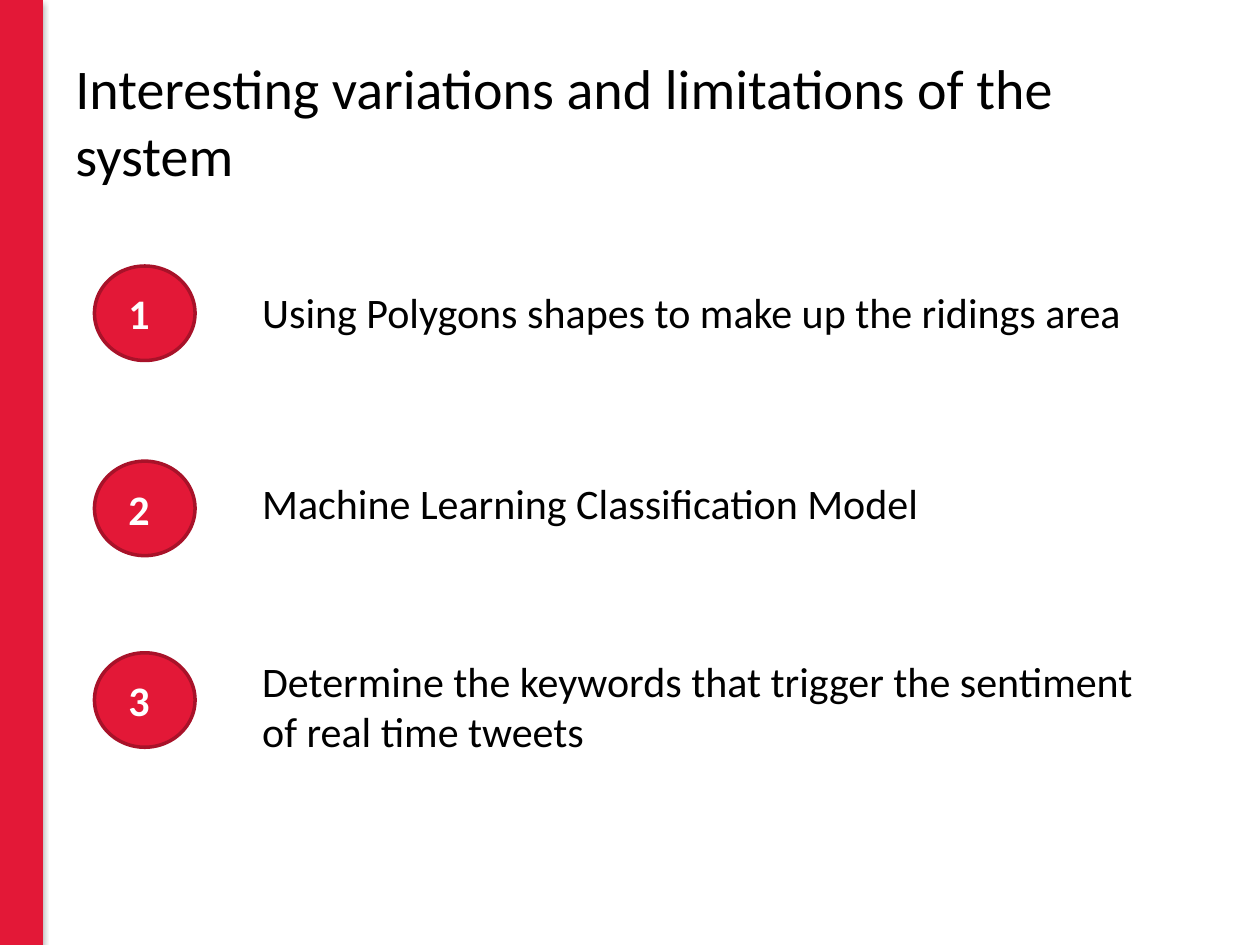
from dataclasses import dataclass

from lxml import etree
from pptx import Presentation
from pptx.dml.color import RGBColor
from pptx.enum import shapes, text
from pptx.oxml import ns
from pptx.util import Pt

RED, DARK_RED, BLACK, WHITE = "E31837", "A81229", "000000", "FFFFFF"
FONT = "Calibri"


@dataclass
class Box:
    left: float
    top: float
    width: float
    height: float

    def lengths(self) -> tuple:
        return Pt(self.left), Pt(self.top), Pt(self.width), Pt(self.height)


@dataclass
class Item:
    wording: str
    circle_top: float
    text_top: float
    text_height: float = 36.35


ITEMS = [
    Item("Using Polygons shapes to make up the ridings area", 152, 160),
    Item("Machine Learning Classification Model", 263.5, 269.5),
    Item("Determine the keywords that trigger the sentiment of real time tweets",
         373, 371, 65.4),
]


def colour(value: str) -> RGBColor:
    return RGBColor.from_string(value)


def add_filled_shape(slide, kind, box: Box, fill: str):
    shape = slide.shapes.add_shape(kind, *box.lengths())
    shape.shadow.inherit = False
    shape.fill.solid()
    shape.fill.fore_color.rgb = colour(fill)
    shape.line.fill.background()
    return shape


def add_text(slide, box: Box, wording: str, size: float, ink: str = BLACK,
             bold: bool = False, anchor=text.MSO_ANCHOR.TOP) -> None:
    frame = slide.shapes.add_textbox(*box.lengths()).text_frame
    frame.word_wrap = True
    frame.vertical_anchor = anchor
    paragraph = frame.paragraphs[0]
    paragraph.text = wording
    paragraph.font.name = FONT
    paragraph.font.size = Pt(size)
    paragraph.font.bold = bold
    paragraph.font.color.rgb = colour(ink)


def add_side_bar(slide) -> None:
    bar = add_filled_shape(slide, shapes.MSO_SHAPE.RECTANGLE, Box(0, 0, 24.5, 540), RED)
    effects = bar._element.spPr.find(ns.qn("a:effectLst"))
    shadow = etree.SubElement(
        effects, ns.qn("a:outerShdw"), blurRad=str(Pt(3.1)), dist=str(Pt(1.8)),
        dir="5400000", rotWithShape="0")
    tint = etree.SubElement(shadow, ns.qn("a:srgbClr"), val=BLACK)
    etree.SubElement(tint, ns.qn("a:alpha"), val="35000")


def add_item(slide, number: int, item: Item) -> None:
    circle = add_filled_shape(
        slide, shapes.MSO_SHAPE.OVAL, Box(54, item.circle_top, 57.5, 54), RED)
    circle.line.color.rgb = colour(DARK_RED)
    circle.line.width = Pt(2)
    add_text(slide, Box(66.25, item.circle_top + 9, 36, 36.35), str(number), 24, WHITE, True)
    add_text(slide, Box(142.75, item.text_top, 523.5, item.text_height), item.wording, 24)


def main() -> None:
    presentation = Presentation()
    presentation.slide_width, presentation.slide_height = Pt(720), Pt(540)
    slide = presentation.slides.add_slide(presentation.slide_layouts[6])
    add_side_bar(slide)
    add_text(slide, Box(36, 24, 660, 90),
             "Interesting variations and limitations of the system", 32,
             anchor=text.MSO_ANCHOR.MIDDLE)
    for number, item in enumerate(ITEMS, start=1):
        add_item(slide, number, item)
    presentation.save("out.pptx")


if __name__ == "__main__":
    main()
